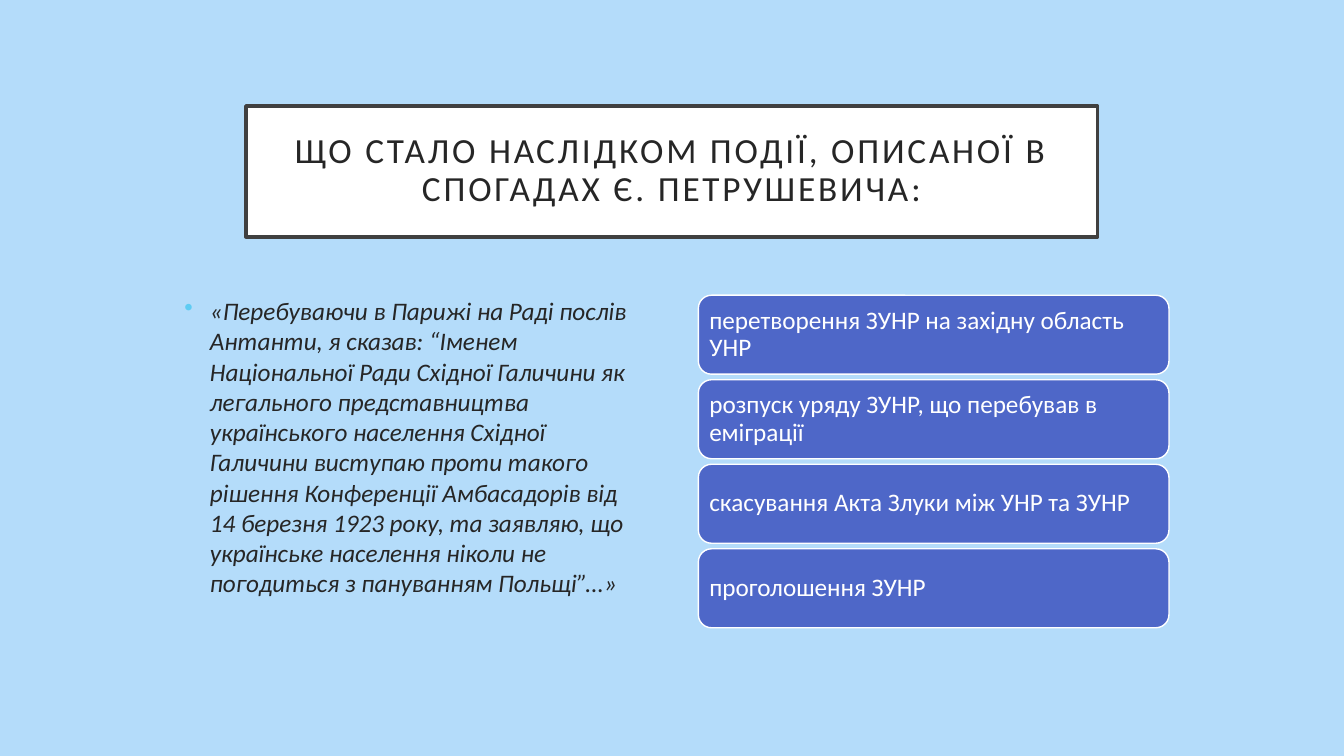
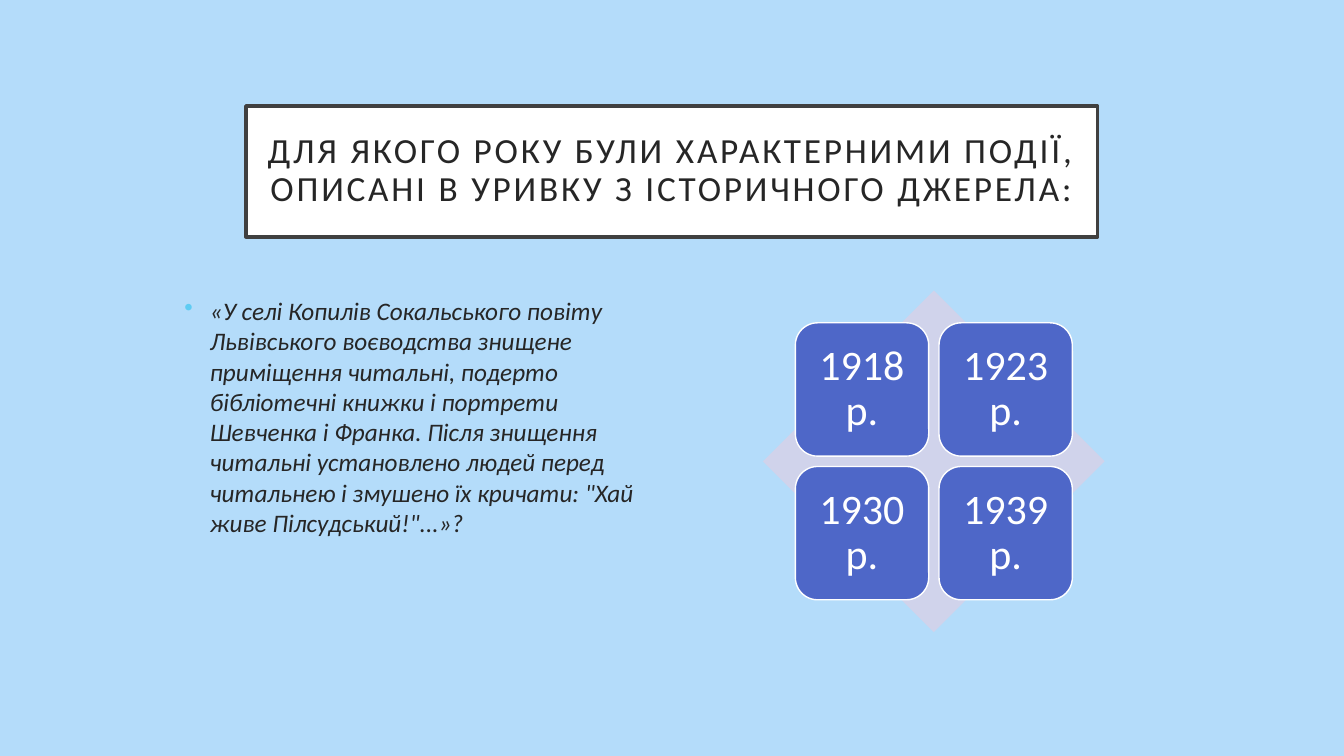
from pptx import Presentation
from pptx.dml.color import RGBColor
from pptx.enum.shapes import MSO_SHAPE as Shape
from pptx.enum.text import MSO_ANCHOR as Anchor, PP_ALIGN as Align
from pptx.oxml.ns import qn
from pptx.util import Cm, Pt
from lxml.etree import SubElement

SKY = RGBColor(0xB4, 0xDC, 0xFA)
WHITE = RGBColor(0xFF, 0xFF, 0xFF)
FRAME = RGBColor(0x40, 0x40, 0x40)
INK = RGBColor(0x26, 0x26, 0x26)
BLUE = RGBColor(0x4E, 0x67, 0xC8)
LAVENDER = RGBColor(0xD0, 0xD3, 0xEB)
BULLET = "5ECCF3"

BODY_TOP, BODY_WIDTH, BODY_HEIGHT = 7.32, 11.86, 8.61

QUESTIONS = [
    ("ЩО СТАЛО НАСЛІДКОМ ПОДІЇ, ОПИСАНОЇ В СПОГАДАХ Є. ПЕТРУШЕВИЧА:",
     "«Перебуваючи в Парижі на Раді послів Антанти, я сказав: “Іменем "
     "Національної Ради Східної Галичини як легального представництва "
     "українського населення Східної Галичини виступаю проти такого рішення "
     "Конференції Амбасадорів від 14 березня 1923 року, та заявляю, що "
     "українське населення ніколи не погодиться з пануванням Польщі”...»"),
    ("ДЛЯ ЯКОГО РОКУ БУЛИ ХАРАКТЕРНИМИ ПОДІЇ, ОПИСАНІ В УРИВКУ З ІСТОРИЧНОГО ДЖЕРЕЛА:",
     "«У селі Копилів Сокальського повіту Львівського воєводства знищене "
     "приміщення читальні, подерто бібліотечні книжки і портрети Шевченка і "
     "Франка. Після знищення читальні установлено людей перед читальнею і "
     "змушено їх кричати: \"Хай живе Пілсудський!\"...»?"),
]
OUTCOMES = [
    "перетворення ЗУНР на західну область УНР",
    "розпуск уряду ЗУНР, що перебував в еміграції",
    "скасування Акта Злуки між УНР та ЗУНР",
    "проголошення ЗУНР",
]
YEARS = ["1918 р.", "1923 р.", "1930 р.", "1939 р."]


def add_block(page, kind, area, fill, line=None, line_width=1):
    """Add a flat preset shape; area is left, top, width, height in cm."""
    block = page.shapes.add_shape(kind, *map(Cm, area))
    block.shadow.inherit = False
    block.fill.solid()
    block.fill.fore_color.rgb = fill
    if line is None:
        block.line.fill.background()
    else:
        block.line.color.rgb = line
        block.line.width = Pt(line_width)
    return block


def write_text(box, text, size, color, align, inset=None, spacing=0.9,
               anchor=Anchor.MIDDLE, italic=False):
    """Fill a box with one styled paragraph; inset is in cm."""
    frame = box.text_frame
    frame.word_wrap = True
    frame.vertical_anchor = anchor
    if inset is not None:
        for side in ("left", "top", "right", "bottom"):
            setattr(frame, f"margin_{side}", Cm(inset))
    para = frame.paragraphs[0]
    para.alignment = align
    para.line_spacing = spacing
    span = para.add_run()
    span.text = text
    span.font.color.rgb = color
    for name, value in {"name": "Calibri", "size": Pt(size), "italic": italic}.items():
        setattr(span.font, name, value)
    return para


deck = Presentation()
deck.slide_width, deck.slide_height = Cm(33.87), Cm(19.05)
deck.slide_master.background.fill.solid()
deck.slide_master.background.fill.fore_color.rgb = SKY

pages = []
for title, quote in QUESTIONS:
    page = deck.slides.add_slide(deck.slide_layouts[6])
    pages.append(page)

    title_box = add_block(page, Shape.RECTANGLE, (6.2, 2.67, 21.46, 3.3), WHITE, FRAME, 2.5)
    para = write_text(title_box, title, 25.2, INK, Align.CENTER, inset=0.51)
    para.runs[0].font._element.set("spc", "200")

    quote_box = page.shapes.add_textbox(*map(Cm, (4.4, BODY_TOP, BODY_WIDTH, BODY_HEIGHT)))
    para = write_text(quote_box, quote, 18, INK, Align.LEFT,
                      spacing=1.0, anchor=Anchor.TOP, italic=True)
    props = para._p.get_or_add_pPr()
    props.set("marL", str(Cm(0.64)))
    props.set("indent", str(-Cm(0.64)))
    SubElement(SubElement(props, qn("a:buClr")), qn("a:srgbClr"), val=BULLET)
    SubElement(props, qn("a:buChar"), char="•")

outcome_page, year_page = pages

card_height, card_step = 1.99, 2.13
for row, outcome in enumerate(OUTCOMES):
    area = (17.6, 7.44 + row * card_step, BODY_WIDTH, card_height)
    card = add_block(outcome_page, Shape.ROUNDED_RECTANGLE, area, BLUE, WHITE)
    write_text(card, outcome, 18, WHITE, Align.LEFT, inset=0.18)

diamond_left = 19.23
add_block(year_page, Shape.DIAMOND, (diamond_left, BODY_TOP, BODY_HEIGHT, BODY_HEIGHT), LAVENDER)
tile, tile_step = 3.36, 3.62
margin = (BODY_HEIGHT - tile - tile_step) / 2
for index, year in enumerate(YEARS):
    row, column = divmod(index, 2)
    area = (diamond_left + margin + column * tile_step,
            BODY_TOP + margin + row * tile_step, tile, tile)
    year_tile = add_block(year_page, Shape.ROUNDED_RECTANGLE, area, BLUE, WHITE)
    write_text(year_tile, year, 30, WHITE, Align.CENTER, inset=0.3)

deck.save("out.pptx")
